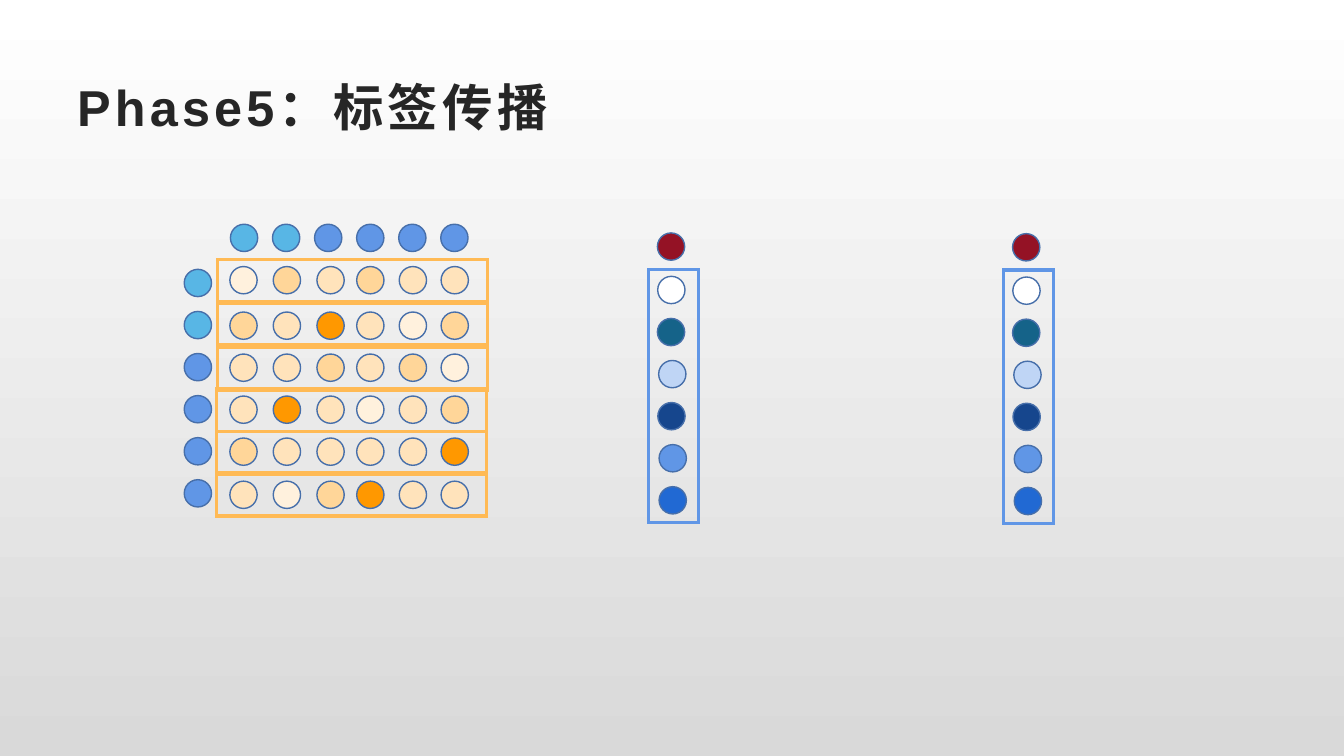
"""Build the label propagation slide: a similarity matrix and two label vectors."""
from dataclasses import dataclass

from lxml.etree import SubElement
from pptx import Presentation
from pptx.dml.color import RGBColor
from pptx.enum.shapes import MSO_SHAPE
from pptx.enum.text import MSO_ANCHOR, MSO_AUTO_SIZE, PP_ALIGN
from pptx.oxml.ns import qn
from pptx.shapes.autoshape import Shape
from pptx.slide import Slide
from pptx.util import Pt


@dataclass(frozen=True)
class Theme:
    font: str = "Arial"
    title_size: float = 36
    title_spacing: int = 300
    title_color: str = "262626"
    background: tuple[str, str] = ("FFFFFF", "D9D9D9")
    node_line: str = "476FAA"
    row_frame: str = "FFBA55"
    vector_frame: str = "6096E6"
    labeled: str = "58B6E5"
    unlabeled: str = "6096E6"
    label: str = "941225"
    weights: tuple[str, ...] = ("FFF1DD", "FFE3BB", "FFD699", "FF9800")
    vector: tuple[str, ...] = ("FFFFFF", "156389", "BFD5F5", "16468D", "6096E6", "2169D3")
    node_width: float = 1
    frame_width: float = 2.25


@dataclass(frozen=True)
class Node:
    left: float
    top: float
    color: str


@dataclass(frozen=True)
class Frame:
    left: float
    top: float
    width: float
    height: float
    color: str


THEME = Theme()
DIAMETER = 19.5
PITCH = 30.05
COLUMN_LEFTS = (164.2, 195.2, 226.4, 254.8, 285.2, 315.1)
ROW_TOPS = (190.4, 222.9, 252.9, 282.9, 312.9, 343.7)
WEIGHT_LEVELS = ("021211", "213102", "112120", "131012", "211113", "102311")
ROW_FRAMES = ((155.5, 185.6), (155.5, 215.5), (155.5, 248.2),
              (154.8, 277.4), (154.8, 308.2), (154.8, 337.8))
VECTOR_SHIFTS = (0.2, 0, 0.9, 0.3, 1.2, 1.2)
VECTOR_ORIGINS = ((469.6, 166.4), (723.3, 166.9))


def finish(shape: Shape, line_color: str, line_width: float) -> None:
    """Give a shape its sharp-cornered outline and take away its shadow."""
    shape.shadow.inherit = False
    shape.line.color.rgb = RGBColor.from_string(line_color)
    shape.line.width = Pt(line_width)
    outline = shape.element.spPr.find(qn("a:ln"))
    SubElement(outline, qn("a:miter"), lim="800000")


def draw_nodes(slide: Slide, nodes: list[Node]) -> None:
    """Draw a group of round nodes."""
    group = slide.shapes.add_group_shape()
    for node in nodes:
        shape = group.shapes.add_shape(
            MSO_SHAPE.OVAL, Pt(node.left), Pt(node.top), Pt(DIAMETER), Pt(DIAMETER))
        shape.fill.solid()
        shape.fill.fore_color.rgb = RGBColor.from_string(node.color)
        finish(shape, THEME.node_line, THEME.node_width)


def draw_frame(slide: Slide, frame: Frame) -> None:
    """Draw an unfilled rectangle."""
    shape = slide.shapes.add_shape(
        MSO_SHAPE.RECTANGLE, Pt(frame.left), Pt(frame.top), Pt(frame.width), Pt(frame.height))
    shape.fill.background()
    finish(shape, frame.color, THEME.frame_width)


def draw_background(slide: Slide) -> None:
    """Fill the background with a gradient from top to bottom."""
    fill = slide.background.fill
    fill.gradient()
    fill.gradient_angle = 270
    for stop, color in zip(fill.gradient_stops, THEME.background):
        stop.color.rgb = RGBColor.from_string(color)


def draw_title(slide: Slide, text: str) -> None:
    """Place and format the title placeholder."""
    title = slide.shapes.title
    title.left, title.top, title.width, title.height = Pt(47.9), Pt(48), Pt(864), Pt(55.5)
    frame = title.text_frame
    frame.text = text
    frame.word_wrap = True
    frame.auto_size = MSO_AUTO_SIZE.NONE
    frame.vertical_anchor = MSO_ANCHOR.MIDDLE
    paragraph = frame.paragraphs[0]
    paragraph.alignment = PP_ALIGN.LEFT
    paragraph.font.name = THEME.font
    paragraph.font.size = Pt(THEME.title_size)
    paragraph.font.bold = True
    paragraph.font.color.rgb = RGBColor.from_string(THEME.title_color)
    paragraph.runs[0].font._element.set("spc", str(THEME.title_spacing))


def draw_matrix(slide: Slide) -> None:
    """Draw the weight matrix with its row and column headings."""
    weights = [Node(left, top, THEME.weights[int(level)])
               for top, levels in zip(ROW_TOPS, WEIGHT_LEVELS)
               for left, level in zip(COLUMN_LEFTS, levels)]
    headings = [THEME.labeled] * 2 + [THEME.unlabeled] * 4
    draw_nodes(slide, weights)
    draw_nodes(slide, [
        Node(131.6, 192.4 + PITCH * index, color) for index, color in enumerate(headings)])
    draw_nodes(slide, [
        Node(164.6 + PITCH * index, 160.2, color) for index, color in enumerate(headings)])
    for left, top in ROW_FRAMES:
        draw_frame(slide, Frame(left, top, 193, 30.8, THEME.row_frame))


def draw_vector(slide: Slide, left: float, top: float) -> None:
    """Draw a label with its framed column of values."""
    values = [Node(left + shift, top + 31 + PITCH * index, color)
              for index, (shift, color) in enumerate(zip(VECTOR_SHIFTS, THEME.vector))]
    draw_nodes(slide, [Node(left, top, THEME.label), *values])
    draw_frame(slide, Frame(left - 6.5, top + 26, 36, 181.2, THEME.vector_frame))


def main() -> None:
    """Create and save the presentation."""
    presentation = Presentation()
    presentation.slide_width, presentation.slide_height = Pt(960), Pt(540)
    slide = presentation.slides.add_slide(presentation.slide_layouts[5])
    draw_background(slide)
    draw_title(slide, "Phase5：标签传播")
    draw_matrix(slide)
    for left, top in VECTOR_ORIGINS:
        draw_vector(slide, left, top)
    presentation.save("out.pptx")


if __name__ == "__main__":
    main()
